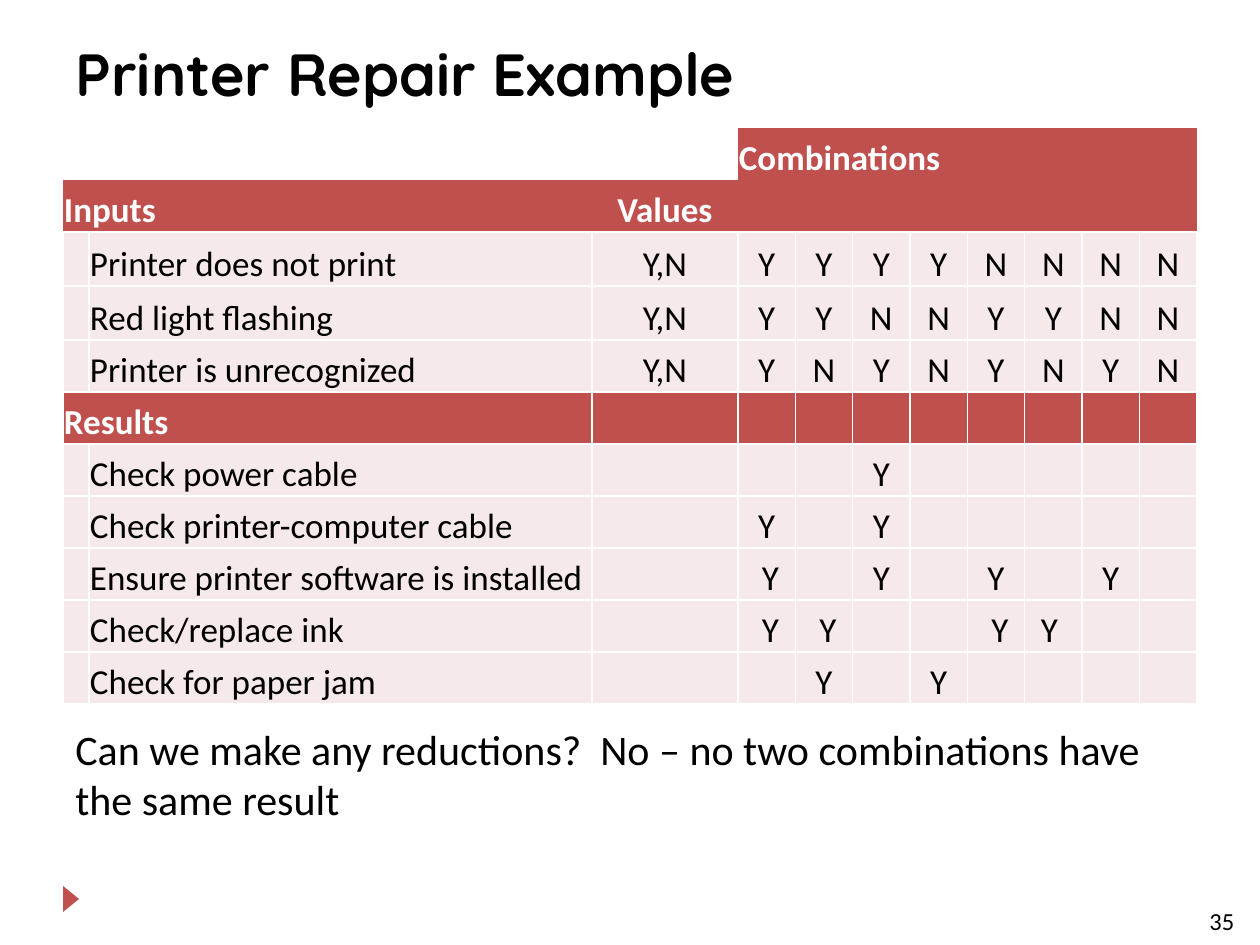
"""Build the printer repair decision table slide."""
from dataclasses import dataclass

from lxml.etree import SubElement
from pptx import Presentation
from pptx.dml.color import RGBColor as Rgb
from pptx.enum.shapes import MSO_SHAPE as Shape
from pptx.enum.text import MSO_ANCHOR as Anchor, PP_ALIGN as Align
from pptx.oxml.ns import qn
from pptx.util import Pt


@dataclass(frozen=True)
class Theme:
    accent: str = "C0504D"
    pale: str = "F5E9E9"
    white: str = "FFFFFF"
    black: str = "000000"
    title_font: str = "Quicksand"
    body_font: str = "Calibri"
    title_size: int = 34
    note_size: int = 24
    table_size: int = 20
    number_size: int = 14
    no_style: str = "{2D5ABB26-0587-4C30-8999-92F81FD0307C}"


THEME = Theme()
TITLE = "Printer Repair Example"
NOTE = "Can we make any reductions?  No – no two combinations have the same result"
PAGE_NUMBER = "35"
INPUTS = [
    ("Printer does not print", "Y,N", list("YYYYNNNN")),
    ("Red light flashing", "Y,N", list("YYNNYYNN")),
    ("Printer is unrecognized", "Y,N", list("YNYNYNYN")),
]
RESULTS = [
    ("Check power cable", "", ["", "", "Y", "", "", "", "", ""]),
    ("Check printer-computer cable", "", ["Y", "", "Y", "", "", "", "", ""]),
    ("Ensure printer software is installed", "", [" Y", "", "Y", "", "Y", "", "Y", ""]),
    ("Check/replace ink", "", [" Y", " Y", "", "", " Y", "Y ", "", ""]),
    ("Check for paper jam", "", ["", "Y", "", "Y", "", "", "", ""]),
]
COMBINATIONS = 8
HEADINGS = [
    ["", "", "", "Combinations"] + [""] * (COMBINATIONS - 1),
    ["Inputs", "", "Values"] + [""] * COMBINATIONS,
]
RESULTS_HEADING = ["Results"] + [""] * (COMBINATIONS + 2)

LABEL_WIDTHS = [26, 503, 146]
COMBINATIONS_WIDTH = 459
ROW_HEIGHT, TALL_ROW_HEIGHT = 52, 54
TALL_ROWS = (2, 3)


def px(count):
    return round(count * 914400 / 126)


def style(para, size, color, font=THEME.body_font, bold=False):
    para.font.name = font
    para.font.size = Pt(size)
    para.font.bold = bold
    para.font.color.rgb = Rgb.from_string(color)


def add_text(page, text, frame, size, **look):
    box = page.shapes.add_textbox(*map(px, frame))
    box.text_frame.word_wrap = True
    para = box.text_frame.paragraphs[0]
    para.text = text
    style(para, size, THEME.black, **look)


def set_borders(cell, sides):
    properties = cell._tc.get_or_add_tcPr()
    for index, side in enumerate(("L", "R", "T", "B")):
        line = properties.makeelement(qn(f"a:ln{side}"), {"w": str(Pt(1))})
        properties.insert(index, line)
        if side in sides:
            fill = SubElement(line, qn("a:solidFill"))
            SubElement(fill, qn("a:srgbClr"), val=THEME.white)
        else:
            SubElement(line, qn("a:noFill"))


def fill_cell(cell, text, heading, fill, centered, sides):
    cell.margin_left = cell.margin_right = cell.margin_top = px(1)
    cell.margin_bottom = 0
    cell.vertical_anchor = Anchor.BOTTOM
    para = cell.text_frame.paragraphs[0]
    para.text = text
    para.alignment = Align.CENTER if centered else Align.LEFT
    style(para, THEME.table_size, THEME.white if heading else THEME.black, bold=heading)
    if fill:
        cell.fill.solid()
        cell.fill.fore_color.rgb = Rgb.from_string(fill)
    else:
        cell.fill.background()
    set_borders(cell, sides)


def add_decision_table(page):
    rows = HEADINGS + [["", label, values, *marks] for label, values, marks in INPUTS]
    results_row = len(rows)
    rows += [RESULTS_HEADING]
    rows += [["", label, values, *marks] for label, values, marks in RESULTS]
    widths = [px(width) for width in LABEL_WIDTHS]
    widths += [px(COMBINATIONS_WIDTH / COMBINATIONS)] * COMBINATIONS
    heights = [px(TALL_ROW_HEIGHT if index in TALL_ROWS else ROW_HEIGHT)
               for index in range(len(rows))]
    table = page.shapes.add_table(len(rows), len(widths), px(63), px(128),
                                  sum(widths), sum(heights)).table
    table.first_row = table.horz_banding = False
    table._tbl.tblPr.find(qn("a:tableStyleId")).text = THEME.no_style
    for column, width in zip(table.columns, widths):
        column.width = width

    for row, texts in enumerate(rows):
        table.rows[row].height = heights[row]
        heading = row < len(HEADINGS) or row == results_row
        sides = {0: "", 1: "B"}.get(row, "LRTB")
        for col, text in enumerate(texts):
            fill = THEME.accent if heading else THEME.pale
            if row == 0 and col < len(LABEL_WIDTHS):
                fill = None
            centered = col >= 2 and row > 0
            fill_cell(table.cell(row, col), text, heading, fill, centered, sides)

    table.cell(0, 3).merge(table.cell(0, len(widths) - 1))
    for row in (1, results_row):
        table.cell(row, 0).merge(table.cell(row, 1))


def add_marker(page):
    marker = page.shapes.add_shape(Shape.ISOSCELES_TRIANGLE, *map(px, (58, 891, 26, 16)))
    marker.rotation = 90
    marker.shadow.inherit = False
    marker.fill.solid()
    marker.fill.fore_color.rgb = Rgb.from_string(THEME.accent)
    marker.line.fill.background()


def main():
    deck = Presentation()
    deck.slide_width, deck.slide_height = px(1260), px(945)
    page = deck.slides.add_slide(deck.slide_layouts[6])
    add_marker(page)
    add_text(page, TITLE, (63, 31, 1134, 126), THEME.title_size,
             font=THEME.title_font, bold=True)
    add_text(page, PAGE_NUMBER, (1197, 900, 57, 31), THEME.number_size)
    add_decision_table(page)
    add_text(page, NOTE, (63, 717, 1094, 115), THEME.note_size)
    deck.save("out.pptx")


if __name__ == "__main__":
    main()
